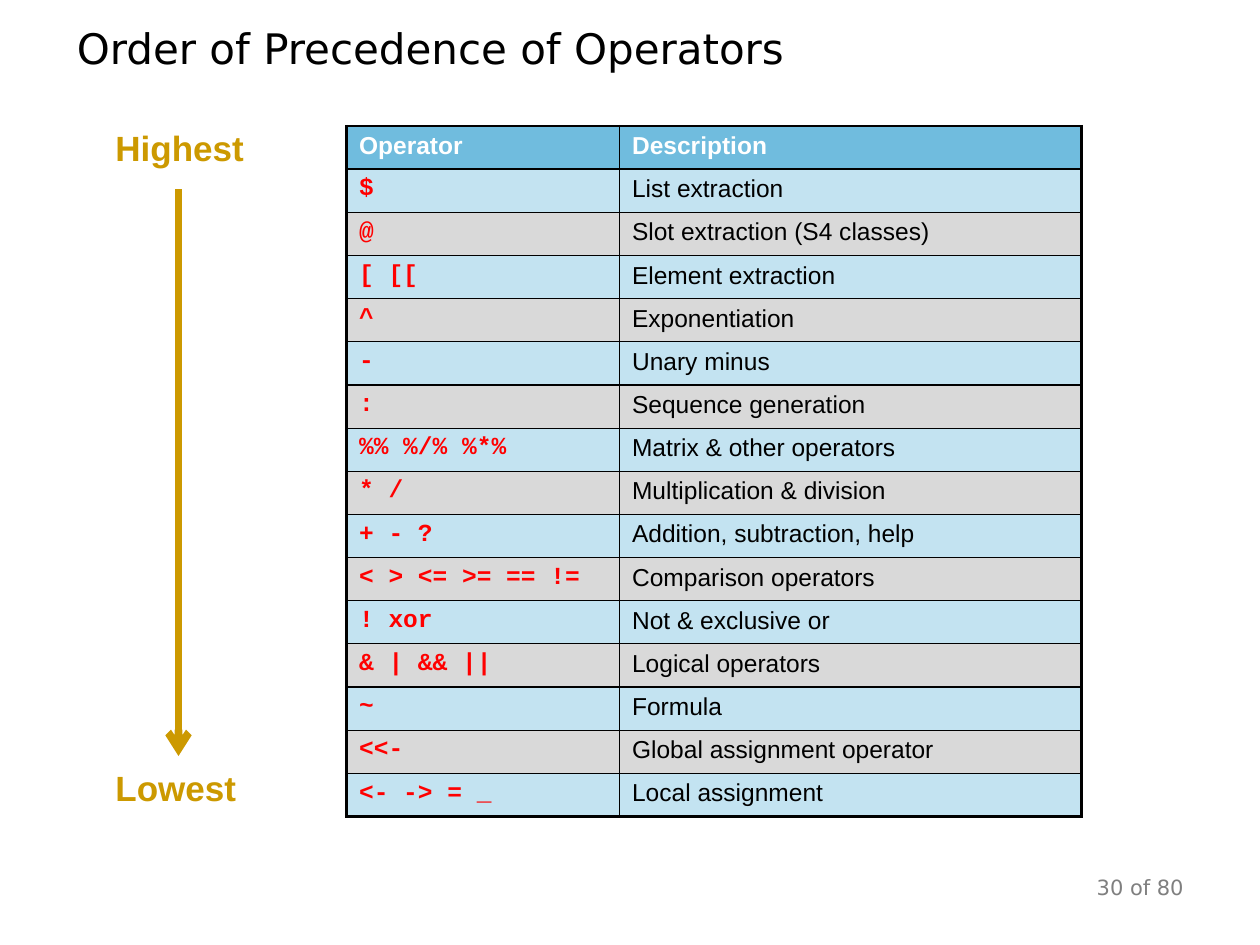
from lxml import etree
from pptx import Presentation
from pptx.dml.color import RGBColor
from pptx.enum.shapes import MSO_CONNECTOR
from pptx.enum.text import MSO_ANCHOR, PP_ALIGN
from pptx.oxml.ns import qn
from pptx.util import Pt

STRAIGHT = MSO_CONNECTOR.STRAIGHT
MIDDLE = MSO_ANCHOR.MIDDLE
LEFT, RIGHT = PP_ALIGN.LEFT, PP_ALIGN.RIGHT

# Content
TITLE = "Order of Precedence of Operators"
PAGE = "30 of 80"
HEADER = ("Operator", "Description")
OPERATORS = [
    ("$", "List extraction"),
    ("@", "Slot extraction (S4 classes)"),
    ("[ [[", "Element extraction"),
    ("^", "Exponentiation"),
    ("-", "Unary minus"),
    (":", "Sequence generation"),
    ("%% %/% %*%", "Matrix & other operators"),
    ("* /", "Multiplication & division"),
    ("+ - ?", "Addition, subtraction, help"),
    ("< > <= >= == !=", "Comparison operators"),
    ("! xor", "Not & exclusive or"),
    ("& | && ||", "Logical operators"),
    ("~", "Formula"),
    ("<<-", "Global assignment operator"),
    ("<- -> = _", "Local assignment"),
]
ENDS = [("Highest", 72), ("Lowest", 437.75)]  # label, top

# Style
COLORS = {"text": "000000", "header": "FFFFFF", "code": "FF0000", "gold": "CC9900",
          "blue": "1190C9", "gray": "D9D9D9", "page": "7F7F7F", "border": "000000"}
SANS, CODE, HEAD = "Arial", "Courier New", "DejaVu Sans"
THICK, THIN = 1.5, 0.75
TABLE_LEFT, TABLE_TOP, ROW_H = 198, 72, 24.67
COL_W = (156, 264)


def rgb(name):
    return RGBColor.from_string(COLORS[name])


def write(tf, text, font, size, color, bold=False, align=LEFT):
    p = tf.paragraphs[0]
    p.alignment = align
    r = p.add_run()
    r.text = text
    r.font.name = font
    r.font.size = Pt(size)
    r.font.bold = bold
    r.font.color.rgb = rgb(color)


def add_text(s, box, margins, *args, **kwargs):
    tf = s.shapes.add_textbox(*map(Pt, box)).text_frame
    tf.word_wrap = True
    tf.margin_left, tf.margin_top, tf.margin_right, tf.margin_bottom = map(Pt, margins)
    tf.vertical_anchor = MIDDLE if any(margins) else MSO_ANCHOR.TOP
    write(tf, *args, **kwargs)


def fill_cell(cell, color, alpha=None):
    cell.fill.solid()
    cell.fill.fore_color.rgb = rgb(color)
    if alpha:
        clr = cell._tc.tcPr.find(".//" + qn("a:srgbClr"))
        etree.SubElement(clr, qn("a:alpha"), val=str(alpha * 1000))


def set_borders(cell, widths):
    """Widths in the order left, right, top, bottom."""
    for i, (side, width) in enumerate(zip("LRTB", widths)):
        ln = etree.Element(qn("a:ln" + side), w=str(Pt(width)))
        solid = etree.SubElement(ln, qn("a:solidFill"))
        etree.SubElement(solid, qn("a:srgbClr"), val=COLORS["border"])
        cell._tc.tcPr.insert(i, ln)


def add_arrow(s, x, top, bottom):
    c = s.shapes.add_connector(STRAIGHT, Pt(x), Pt(top), Pt(x), Pt(bottom))
    c.line.color.rgb = rgb("gold")
    c.line.width = Pt(4.31)
    etree.SubElement(c.line._get_or_add_ln(), qn("a:tailEnd"), type="arrow")
    etree.SubElement(c._element.spPr, qn("a:effectLst"))


def add_operator_table(s):
    rows = [HEADER] + OPERATORS
    last = len(rows) - 1
    table = s.shapes.add_table(len(rows), len(COL_W), Pt(TABLE_LEFT), Pt(TABLE_TOP),
                               Pt(sum(COL_W)), Pt(ROW_H * len(rows))).table
    for col, width in zip(table.columns, COL_W):
        col.width = Pt(width)
    for i, row in enumerate(rows):
        table.rows[i].height = Pt(ROW_H)
        for j, text in enumerate(row):
            cell = table.cell(i, j)
            if i == 0:
                fill_cell(cell, "blue", 60)
                write(cell.text_frame, text, SANS, 14, "header", bold=True)
            else:
                fill_cell(cell, *(("blue", 25) if i % 2 else ("gray",)))
                font, color = ((CODE, "code"), (SANS, "text"))[j]
                write(cell.text_frame, text, font, 14, color, bold=j == 0)
            # Thick outer frame and header rule, thin inner grid
            thick = (j == 0, j == 1, i <= 1, i in (0, last))
            set_borders(cell, [THICK if t else THIN for t in thick])


def main():
    prs = Presentation()
    prs.slide_width, prs.slide_height = Pt(720), Pt(540)
    s = prs.slides.add_slide(prs.slide_layouts[5])

    # Title
    title = s.shapes.title
    title.left, title.top, title.width, title.height = map(Pt, (36.75, 9.5, 527, 36))
    title.text_frame.vertical_anchor = MIDDLE
    write(title.text_frame, TITLE, HEAD, 24, "text")

    # Precedence scale
    add_arrow(s, 102, 108, 432)
    for label, top in ENDS:
        add_text(s, (66, top, 86, 24), (0, 0, 0, 0), label, SANS, 20, "gold", bold=True)

    add_operator_table(s)

    # Page number
    add_text(s, (513.5, 496, 170, 21.75), (7.2, 3.6, 7.2, 3.6),
             PAGE, HEAD, 12, "page", align=RIGHT)

    prs.save("out.pptx")


if __name__ == "__main__":
    main()
